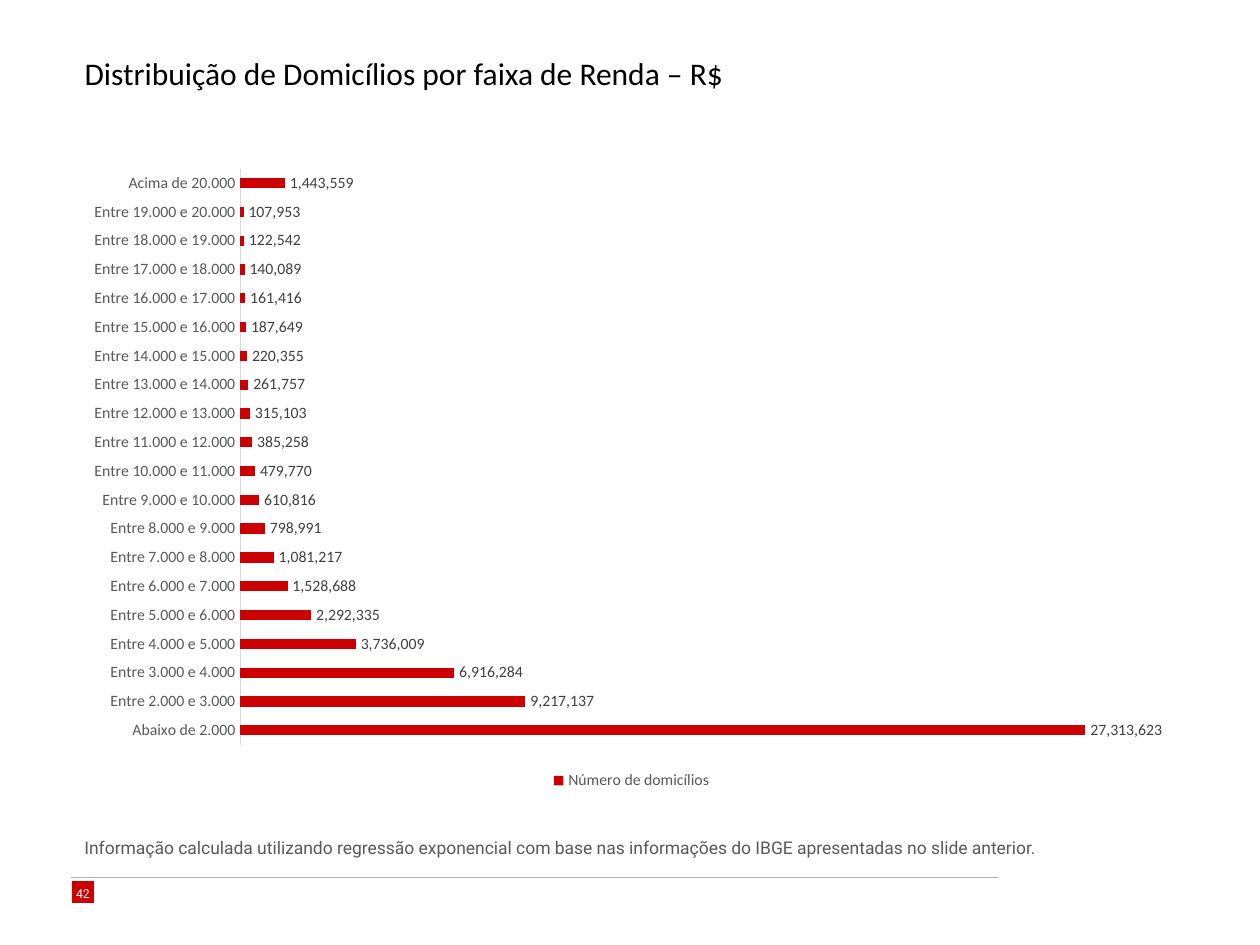
"""Build a slide with a bar chart of households by income band."""
import dataclasses

import lxml.etree
import pptx
import pptx.chart.data
import pptx.dml.color
import pptx.enum.chart
import pptx.enum.shapes
import pptx.enum.text
import pptx.oxml.ns
import pptx.util


@dataclasses.dataclass(frozen=True)
class Theme:
    heading_font: str = "Calibri"
    body_font: str = "Roboto"
    accent: str = "CC0000"
    black: str = "000000"
    white: str = "FFFFFF"
    label: str = "404040"
    muted: str = "595959"
    rule: str = "B1B1B1"
    axis: str = "D9D9D9"
    title_size: int = 18
    text_size: int = 10
    chart_size: int = 9
    number_size: int = 7


theme = Theme()
PX = pptx.util.Inches(1) / 126
NUMBER_FORMAT = r"#,##0_ ;[Red]\-#,##0\ "
Align = pptx.enum.text.PP_ALIGN
Anchor = pptx.enum.text.MSO_ANCHOR


def style(font, name, size, color):
    font.name = name
    font.size = pptx.util.Pt(size)
    font.bold = False
    font.color.rgb = pptx.dml.color.RGBColor.from_string(color)


def write(shape, text, font, size, color, align, anchor, line_spacing=0.9):
    frame = shape.text_frame
    frame.word_wrap = True
    frame.auto_size = pptx.enum.text.MSO_AUTO_SIZE.NONE
    frame.vertical_anchor = anchor
    paragraph = frame.paragraphs[0]
    paragraph.alignment = align
    paragraph.line_spacing = line_spacing
    paragraph.space_before = pptx.util.Pt(0)
    run = paragraph.add_run()
    run.text = text
    style(run.font, font, size, color)


presentation = pptx.Presentation()
presentation.slide_width = round(1260 * PX)
presentation.slide_height = round(945 * PX)
slide = presentation.slides.add_slide(presentation.slide_layouts[5])

footer_rule = slide.shapes.add_connector(
    pptx.enum.shapes.MSO_CONNECTOR.STRAIGHT,
    *(round(length * PX) for length in (998, 877, 71, 877)))
footer_rule.line.color.rgb = pptx.dml.color.RGBColor.from_string(theme.rule)
footer_rule.line.width = pptx.util.Pt(0.5)
lxml.etree.SubElement(
    footer_rule._element.spPr, pptx.oxml.ns.qn("a:effectLst"))

page_number = slide.shapes.add_shape(
    pptx.enum.shapes.MSO_SHAPE.RECTANGLE,
    *(round(length * PX) for length in (72, 881, 22, 22)))
page_number.shadow.inherit = False
page_number.fill.solid()
page_number.fill.fore_color.rgb = pptx.dml.color.RGBColor.from_string(theme.accent)
page_number.line.fill.background()
frame = page_number.text_frame
frame.margin_left = frame.margin_right = frame.margin_bottom = 0
frame.margin_top = round(3 * PX)
write(page_number, "42", theme.body_font, theme.number_size, theme.white,
      Align.CENTER, Anchor.MIDDLE, 1.0)

title = slide.shapes.title
title.left, title.top, title.width, title.height = (
    round(length * PX) for length in (72, 52, 1120, 40))
write(title, "Distribuição de Domicílios por faixa de Renda – R$",
      theme.heading_font, theme.title_size, theme.black, Align.LEFT, Anchor.TOP)

note = slide.shapes.add_textbox(
    *(round(length * PX) for length in (72, 833, 1090, 32)))
write(note, "Informação calculada utilizando regressão exponencial com base nas "
      "informações do IBGE apresentadas no slide anterior.",
      theme.body_font, theme.text_size, theme.muted, Align.JUSTIFY, Anchor.TOP)

households = [
    27313623, 9217137, 6916284, 3736009, 2292335, 1528688, 1081217,
    798991, 610816, 479770, 385258, 315103, 261757, 220355, 187649,
    161416, 140089, 122542, 107953, 1443559,
]
chart_data = pptx.chart.data.CategoryChartData(number_format=NUMBER_FORMAT)
chart_data.categories = [
    "Abaixo de 2.000",
    *(f"Entre {start}.000 e {start + 1}.000" for start in range(2, 20)),
    "Acima de 20.000",
]
chart_data.add_series("Número de domicílios", households)
chart = slide.shapes.add_chart(
    pptx.enum.chart.XL_CHART_TYPE.BAR_CLUSTERED,
    *(round(length * PX) for length in (72, 156, 1119, 639)), chart_data).chart
style(chart.font, theme.heading_font, theme.text_size, theme.black)
chart.has_title = False
chart.has_legend = True
chart.legend.position = pptx.enum.chart.XL_LEGEND_POSITION.BOTTOM
chart.legend.include_in_layout = False
style(chart.legend.font, theme.heading_font, theme.chart_size, theme.muted)

category_axis = chart.category_axis
category_axis.major_tick_mark = pptx.enum.chart.XL_TICK_MARK.NONE
category_axis.minor_tick_mark = pptx.enum.chart.XL_TICK_MARK.NONE
category_axis.format.line.color.rgb = pptx.dml.color.RGBColor.from_string(theme.axis)
category_axis.format.line.width = pptx.util.Pt(0.75)
style(category_axis.tick_labels.font, theme.heading_font, theme.chart_size, theme.muted)

value_axis = chart.value_axis
value_axis.visible = False
value_axis.has_major_gridlines = False
value_axis.minimum_scale = 0
value_axis.maximum_scale = 30000000
value_axis.tick_labels.number_format = NUMBER_FORMAT
value_axis.tick_labels.number_format_is_linked = False

plot = chart.plots[0]
plot.gap_width = 182
plot.vary_by_categories = False
series = plot.series[0]
series.invert_if_negative = False
series.format.fill.solid()
series.format.fill.fore_color.rgb = pptx.dml.color.RGBColor.from_string(theme.accent)
labels = series.data_labels
labels.show_value = True
labels.position = pptx.enum.chart.XL_LABEL_POSITION.OUTSIDE_END
labels.number_format = NUMBER_FORMAT
labels.number_format_is_linked = False
style(labels.font, theme.heading_font, theme.chart_size, theme.label)

presentation.save("out.pptx")
